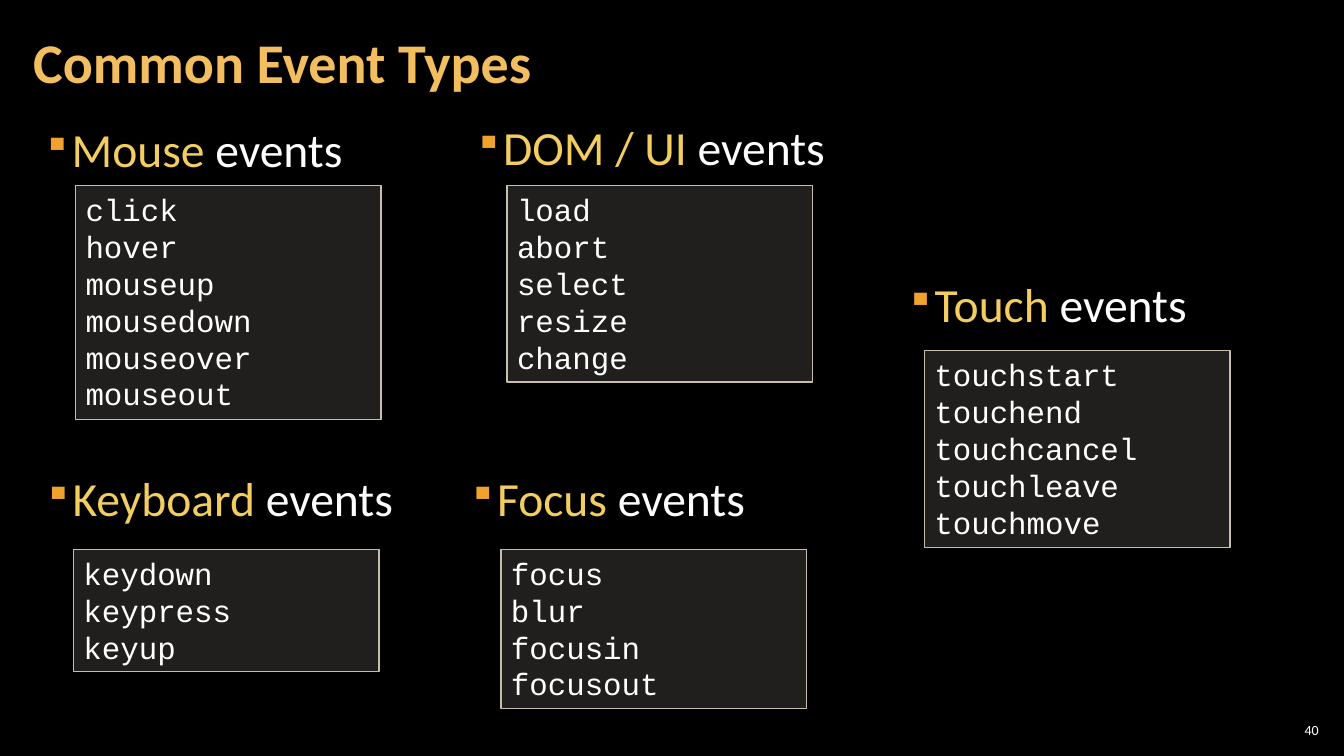
"""Build the Common Event Types slide: five headed groups of event names."""
from lxml import etree
from pptx import Presentation
from pptx import util as u
from pptx.dml.color import RGBColor
from pptx.enum import shapes, text
from pptx.oxml.ns import qn

TITLE = "Common Event Types"
PAGE = "40"
GROUPS = [
    dict(name="Mouse", col=0, row="top", nudge=(0, 0), inset=0.42,
         events=["click", "hover", "mouseup", "mousedown", "mouseover", "mouseout"]),
    dict(name="DOM / UI", col=1, row="top", nudge=(0, -0.02), inset=0.42,
         events=["load", "abort", "select", "resize", "change"]),
    dict(name="Keyboard", col=0, row="bottom", nudge=(0.01, 0), inset=0.39,
         events=["keydown", "keypress", "keyup"]),
    dict(name="Focus", col=1, row="bottom", nudge=(-0.06, 0), inset=0.42,
         events=["focus", "blur", "focusin", "focusout"]),
    dict(name="Touch", col=2, row="middle", nudge=(0, 0), inset=0.28,
         events=["touchstart", "touchend", "touchcancel", "touchleave", "touchmove"]),
]
COLORS = dict(bg="000000", title="F3BE60", name="F3CD60", text="FFFFFF",
              bullet="F0A22E", panel="D9D5C7", border="C7BFAC")
ROWS = dict(top=(1.08, 1.84), middle=(2.62, 3.48), bottom=(4.55, 5.45))
WIDTH, HEIGHT = 13.33, 7.5
LEFT, COL_STEP = 0.33, 4.28
HEAD_W, HEAD_H = 3.95, 0.72
PANEL_W, LINE_H, PAD = 3.03, 0.37, 0.1


def rgb(name):
    return RGBColor.from_string(COLORS[name])


def add_run(p, content, size=22, font="Calibri", color="text", bold=False):
    r = p.add_run()
    r.text = content
    r.font.size, r.font.name, r.font.bold = u.Pt(size), font, bold
    r.font.color.rgb = rgb(color)


def write(tf, lines, anchor="TOP", align="LEFT", margins=(0.1, 0.05), spacing=None, **fmt):
    tf.word_wrap = True
    tf.vertical_anchor = text.MSO_ANCHOR[anchor]
    tf.margin_left = tf.margin_right = u.Inches(margins[0])
    tf.margin_top = tf.margin_bottom = u.Inches(margins[1])
    for i, line in enumerate(lines):
        p = tf.add_paragraph() if i else tf.paragraphs[0]
        p.alignment = text.PP_ALIGN[align]
        if spacing:
            p.line_spacing = spacing
        for content, color in line:
            add_run(p, content, color=color, **fmt)


def add_box(s, x, y, w, h):
    return s.shapes.add_textbox(*map(u.Inches, (x, y, w, h))).text_frame


def add_bullet(p):
    pPr = p._p.get_or_add_pPr()
    pPr.set("marL", "0")
    pPr.set("indent", str(-u.Inches(0.25)))
    color = etree.SubElement(pPr, qn("a:buClr"))
    etree.SubElement(color, qn("a:srgbClr"), val=COLORS["bullet"])
    etree.SubElement(pPr, qn("a:buSzPct"), val="80000")
    etree.SubElement(pPr, qn("a:buChar"), char="▪")


def add_heading(s, name, x, y):
    tf = add_box(s, x, y, HEAD_W, HEAD_H)
    write(tf, [[(name, "name"), (" events", "text")]], spacing=1.1, size=34)
    add_bullet(tf.paragraphs[0])


def add_panel(s, events, x, y):
    h = LINE_H * len(events) + PAD
    sp = s.shapes.add_shape(shapes.MSO_SHAPE.RECTANGLE, *map(u.Inches, (x, y, PANEL_W, h)))
    sp.shadow.inherit = False
    sp.fill.solid()
    sp.fill.fore_color.rgb = rgb("panel")
    fill = sp._element.spPr.find(qn("a:solidFill"))
    etree.SubElement(fill[0], qn("a:alpha"), val="15000")
    sp.line.color.rgb = rgb("border")
    sp.line.width = u.Pt(1)
    write(sp.text_frame, [[(e, "text")] for e in events], font="Courier New")


def main():
    prs = Presentation()
    prs.slide_width, prs.slide_height = u.Inches(WIDTH), u.Inches(HEIGHT)
    s = prs.slides.add_slide(prs.slide_layouts[6])
    s.background.fill.solid()
    s.background.fill.fore_color.rgb = rgb("bg")
    write(add_box(s, 0.21, 0.04, 10.47, 1.21), [[(TITLE, "title")]], anchor="MIDDLE",
          margins=(0.12, 0.04), spacing=0.9, size=40, bold=True)
    for g in GROUPS:
        head_y, panel_y = ROWS[g["row"]]
        dx, dy = g["nudge"]
        x = LEFT + g["col"] * COL_STEP + dx
        add_heading(s, g["name"], x, head_y + dy)
        add_panel(s, g["events"], x + g["inset"], panel_y)
    write(add_box(s, 12.65, 7.14, 0.47, 0.21), [[(PAGE, "text")]], anchor="MIDDLE",
          align="RIGHT", margins=(0.04, 0.04), size=10)
    prs.save("out.pptx")


if __name__ == "__main__":
    main()
